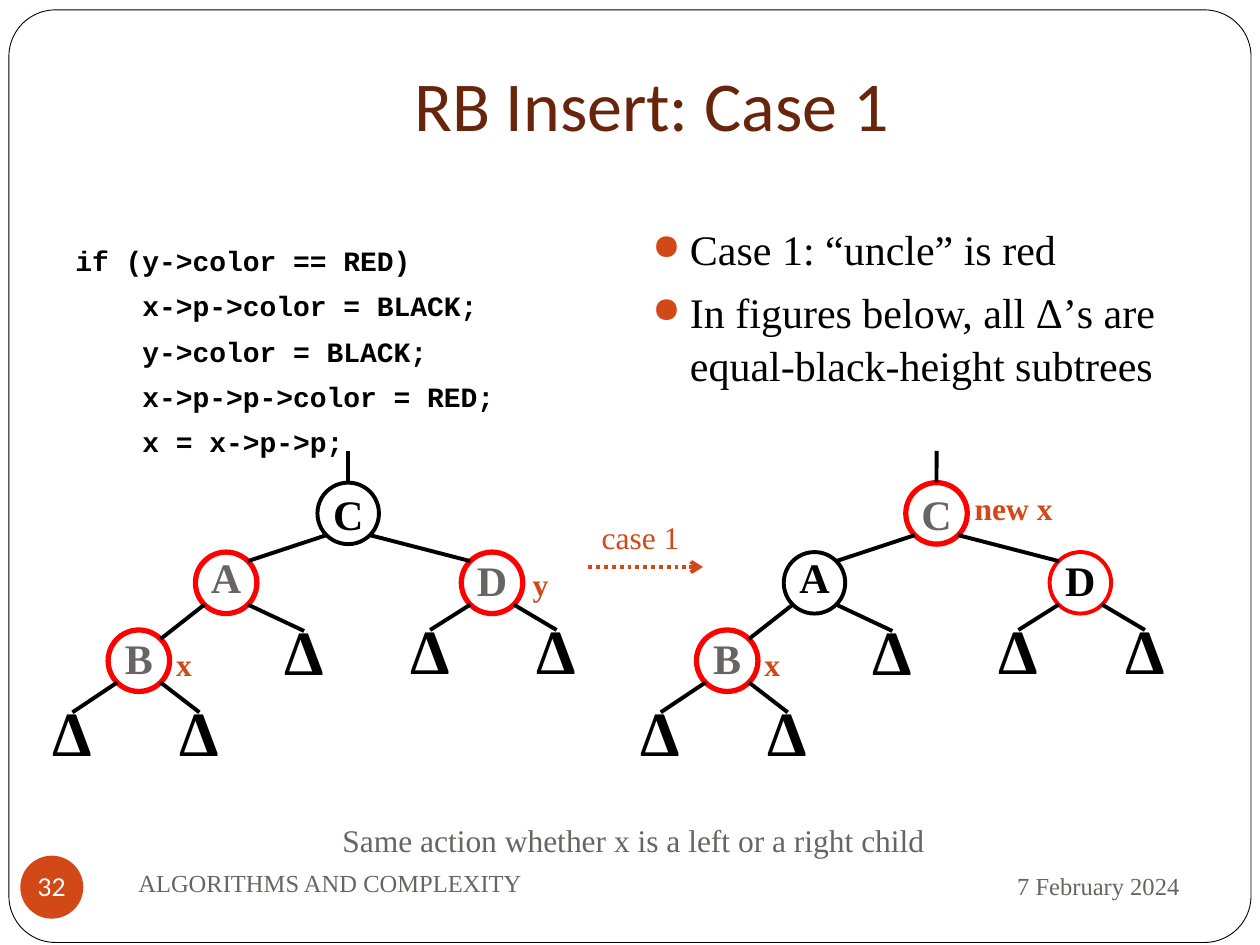
from math import sqrt

from lxml.etree import SubElement
from pptx import Presentation
from pptx.dml.color import RGBColor
from pptx.enum.dml import MSO_LINE
from pptx.enum.shapes import MSO_CONNECTOR as CXN, MSO_SHAPE as SHAPE
from pptx.enum.text import MSO_ANCHOR as ANCHOR, PP_ALIGN as ALIGN
from pptx.oxml.ns import qn
from pptx.util import Cm, Pt

COLORS = {
    "black": "000000", "white": "FFFFFF", "red": "FF0000",
    "gray": "696464", "accent": "D34817", "title": "69240C",
}
SERIF = "Times New Roman"
NODE = 1.24
TREE_GAP = 11.86
NODES = {
    "C": (6.4, 9.73, 1.0),
    "A": (3.94, 11.13, 0.7),
    "D": (9.3, 11.13, 0.9),
    "B": (2.18, 12.7, 0.9),
}
CHILDREN = [("C", -1, "A"), ("C", 1, "D"), ("A", -1, "B")]
SUBTREES = [
    ("A", 1, 5.51, 12.72), ("D", -1, 8.05, 12.7), ("D", 1, 10.6, 12.7),
    ("B", -1, 0.84, 14.36), ("B", 1, 3.4, 14.36),
]
BEFORE = {
    "C": ("black", 2.25, "black"), "A": ("red", 3, "gray"),
    "D": ("red", 3, "gray"), "B": ("red", 3, "gray"),
}
AFTER = {
    "C": ("red", 3, "gray"), "A": ("black", 2.25, "black"),
    "D": ("red", 2.25, "black"), "B": ("red", 3, "gray"),
}
CODE = """if (y->color == RED)
    x->p->color = BLACK;
    y->color = BLACK;
    x->p->p->color = RED;
    x = x->p->p;"""
POINTS = """Case 1: “uncle” is red
In figures below, all Δ’s are equal-black-height subtrees"""


def rgb(name):
    """Return the palette colour with this name."""
    return RGBColor.from_string(COLORS[name])


def add_bullet(p):
    """Give a paragraph a hanging round bullet."""
    pPr = p._p.get_or_add_pPr()
    pPr.set("marL", str(Cm(0.76)))
    pPr.set("indent", str(-Cm(0.76)))
    clr = SubElement(pPr, qn("a:buClr"))
    SubElement(clr, qn("a:srgbClr"), val=COLORS["accent"])
    SubElement(pPr, qn("a:buSzPct"), val="85000")
    SubElement(pPr, qn("a:buChar"), char="●")


def write(sp, text, size=18, color="black", font=SERIF, bold=False, align=ALIGN.CENTER,
          anchor=ANCHOR.MIDDLE, spacing=None, before=0, bullet=False, wrap=False):
    """Fill a shape with one formatted paragraph per line of text."""
    tf = sp.text_frame
    tf.word_wrap = wrap
    tf.vertical_anchor = anchor
    for i, line in enumerate(text.split("\n")):
        p = tf.add_paragraph() if i else tf.paragraphs[0]
        p.alignment = align
        if spacing:
            p.line_spacing = spacing
        if i and before:
            p.space_before = Pt(before)
        if bullet:
            add_bullet(p)
        r = p.add_run()
        r.text = line
        r.font.name, r.font.size, r.font.bold = font, Pt(size), bold
        r.font.color.rgb = rgb(color)


def add_text(s, x, y, w, h, text, **style):
    """Add a text box."""
    sp = s.shapes.add_textbox(Cm(x), Cm(y), Cm(w), Cm(h))
    write(sp, text, **style)
    return sp


def add_outline(s, kind, x, y, w, h, fill=None, line=None, width=1):
    """Add a preset shape with optional fill and line."""
    sp = s.shapes.add_shape(kind, Cm(x), Cm(y), Cm(w), Cm(h))
    sp.shadow.inherit = False
    if fill:
        sp.fill.solid()
        sp.fill.fore_color.rgb = rgb(fill)
    else:
        sp.fill.background()
    if line:
        sp.line.color.rgb = rgb(line)
        sp.line.width = Pt(width)
    else:
        sp.line.fill.background()
    return sp


def add_line(s, x1, y1, x2, y2, color="black"):
    """Add a straight line without shadow."""
    cxn = s.shapes.add_connector(CXN.STRAIGHT, Cm(x1), Cm(y1), Cm(x2), Cm(y2))
    cxn.line.color.rgb = rgb(color)
    cxn.line.width = Pt(2.25)
    SubElement(cxn._element.spPr, qn("a:effectLst"))
    return cxn


def add_arrow(s, x1, y1, x2, y2):
    """Add a dotted accent arrow."""
    cxn = add_line(s, x1, y1, x2, y2, "accent")
    cxn.line.dash_style = MSO_LINE.ROUND_DOT
    SubElement(cxn.line._get_or_add_ln(), qn("a:tailEnd"), type="arrow")


def rim(name, dx, dy, left):
    """Return the diagonal point on a node's rim, dx and dy being -1 or 1."""
    x, y, _ = NODES[name]
    reach = NODE / 2 / sqrt(2)
    return left + x + NODE / 2 + dx * reach, y + NODE / 2 + dy * reach


def add_tree(s, left, looks):
    """Draw the tree, with line colour, line width and text colour per node."""
    for name, (x, y, spacing) in NODES.items():
        line, width, color = looks[name]
        sp = add_outline(s, SHAPE.OVAL, left + x, y, NODE, NODE, "white", line, width)
        write(sp, name, size=24, color=color, bold=True, spacing=spacing)
        if name == "C":
            mid = left + x + NODE / 2
            add_line(s, mid, y - 0.64, mid, y).end_connect(sp, 0)
    for parent, side, child in CHILDREN:
        add_line(s, *rim(parent, side, 1, left), *rim(child, -side, -1, left))
    for parent, side, x, y in SUBTREES:
        sp = add_outline(s, SHAPE.OVAL, left + x, y, NODE, NODE)
        write(sp, "Δ", size=36, bold=True, spacing=0.6)
        edge = add_line(s, *rim(parent, side, 1, left), left + x + NODE / 2, y)
        edge.end_connect(sp, 0)
    add_text(s, left + 3.28, 12.83, 0.86, 1.09, "x", color="accent", bold=True)


def main():
    """Build and save the slide."""
    prs = Presentation()
    prs.slide_width, prs.slide_height = Cm(25.4), Cm(19.05)
    s = prs.slides.add_slide(prs.slide_layouts[6])

    frame = add_outline(s, SHAPE.ROUNDED_RECTANGLE, 0.18, 0.2, 25.04, 18.8,
                        "white", "black", 0.5)
    frame.adjustments[0] = 0.05
    title = add_text(s, 2.34, 0, 21.59, 3.18, "RB Insert: Case 1", size=40, color="title",
                     font="Calibri", anchor=ANCHOR.BOTTOM, wrap=True)
    title.text_frame.margin_bottom = Cm(0.25)
    body = dict(align=ALIGN.LEFT, anchor=ANCHOR.TOP, spacing=1.05, before=5.8, wrap=True)
    add_text(s, 1.27, 4.75, 11.23, 4.65, CODE, size=16, font="Courier New", bold=True, **body)
    add_text(s, 12.9, 4.33, 11.23, 4.88, POINTS, size=24, bullet=True, **body)

    add_tree(s, 0, BEFORE)
    add_tree(s, TREE_GAP, AFTER)
    add_text(s, 10.49, 11.23, 0.81, 1.09, "y", color="accent", bold=True)
    add_text(s, 19.4, 9.7, 2.26, 1.09, "new x", color="accent", bold=True,
             align=ALIGN.LEFT, wrap=True)
    add_text(s, 11.86, 10.31, 2.11, 1.02, "case 1", color="accent")
    add_arrow(s, 11.86, 11.43, 14.17, 11.43)

    add_text(s, 5.97, 16.38, 13.61, 1.09,
             "Same action whether x is a left or a right child", color="gray")
    footer = dict(size=14, color="gray", wrap=True)
    add_text(s, 2.54, 17.15, 11, 1.27, "ALGORITHMS AND COMPLEXITY", align=ALIGN.LEFT, **footer)
    add_text(s, 17.15, 17.2, 6.88, 1.32, "7 February 2024", align=ALIGN.RIGHT, **footer)
    badge = add_outline(s, SHAPE.OVAL, 0.41, 17.25, 1.27, 1.27, "accent")
    write(badge, "32", size=14, color="white", font="Lato")

    prs.save("out.pptx")


if __name__ == "__main__":
    main()
